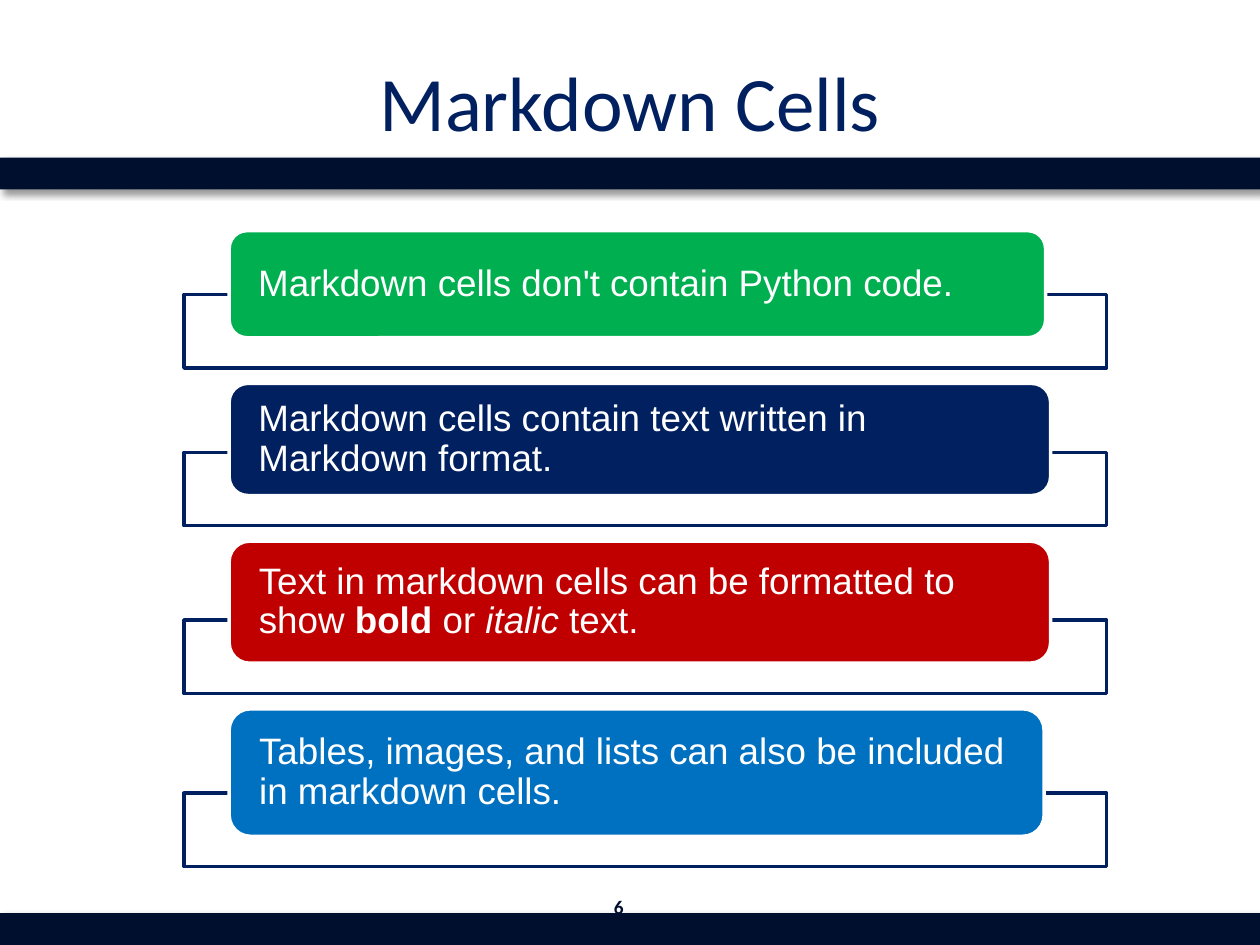
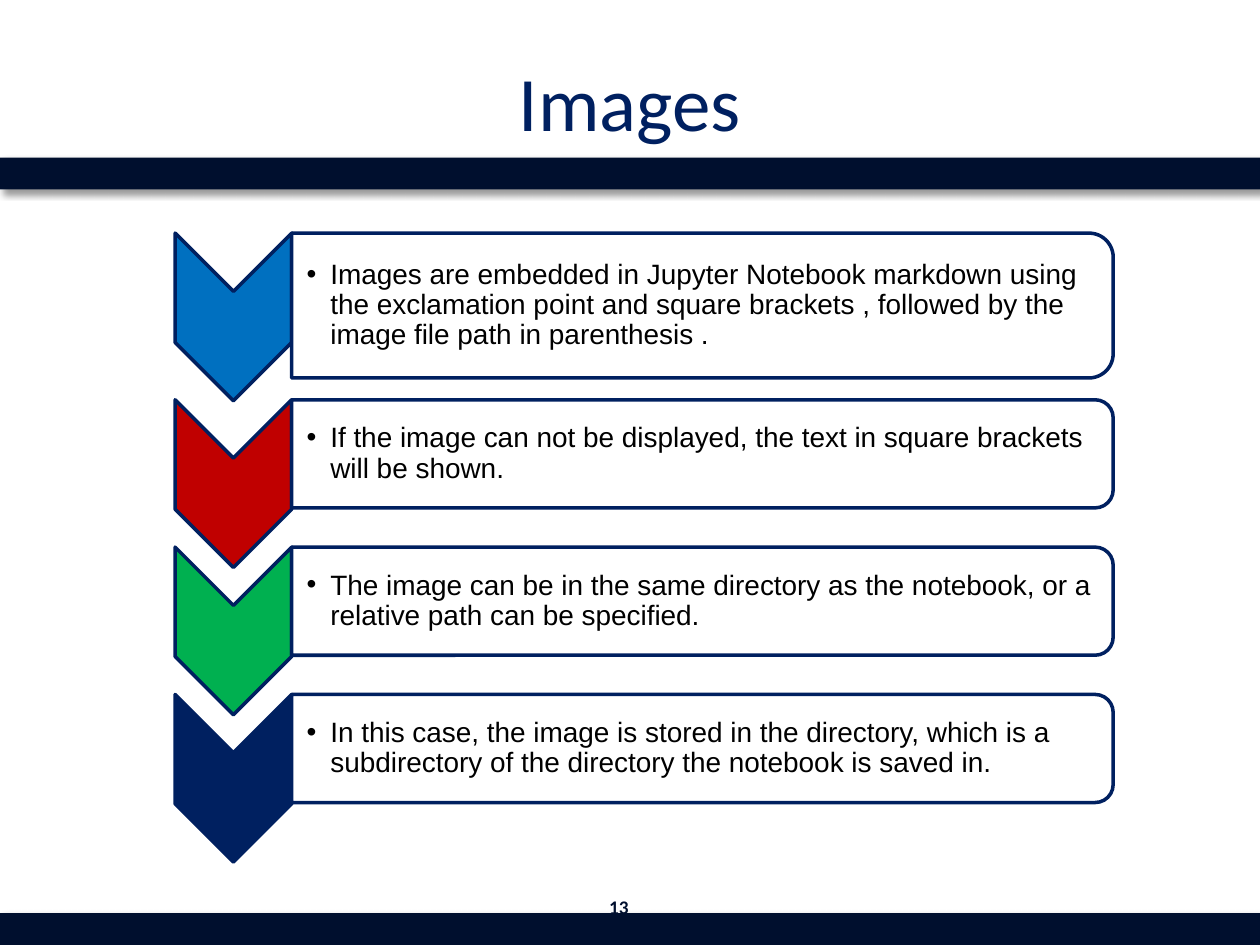
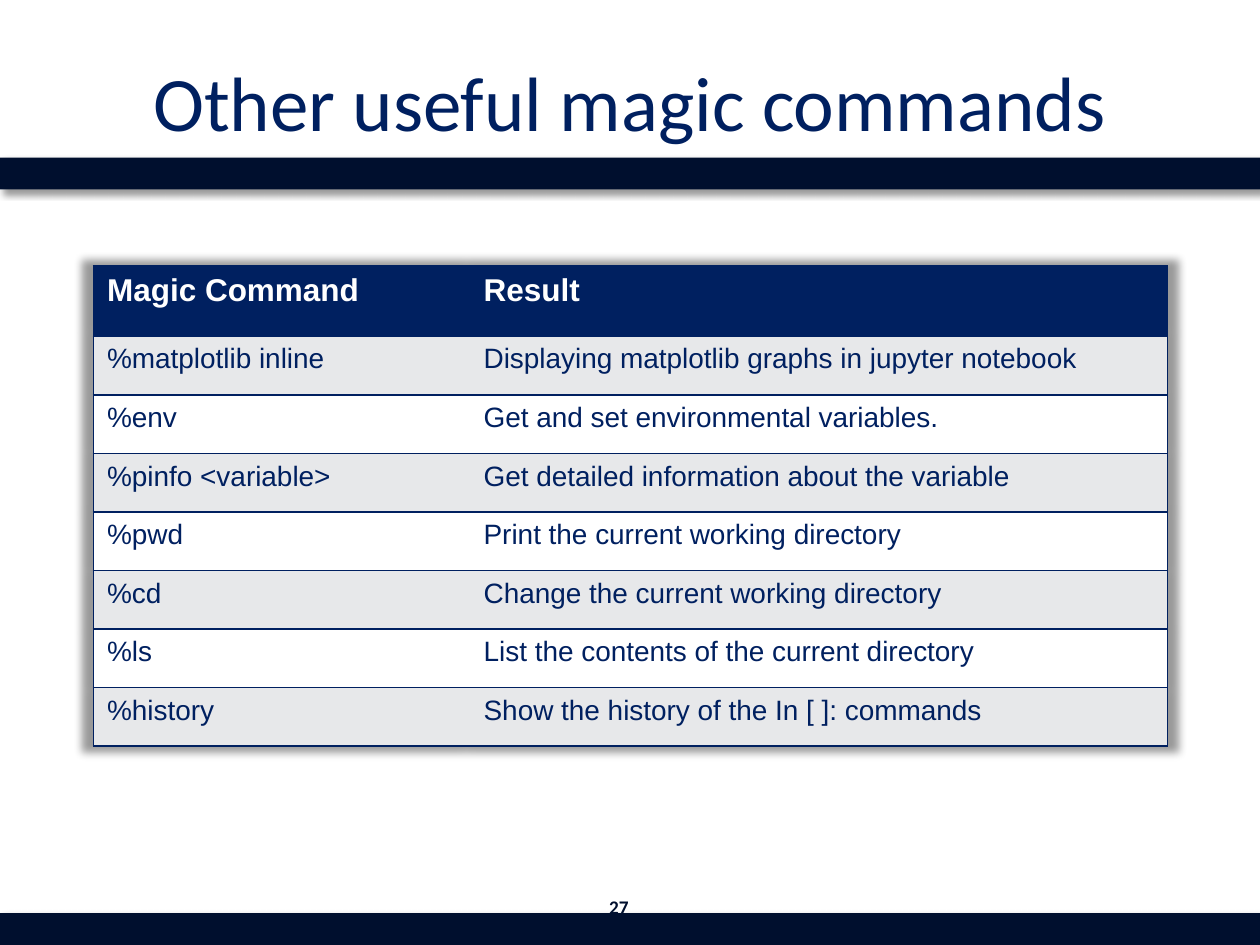
from lxml import etree
from pptx import Presentation
from pptx.dml.color import RGBColor
from pptx.enum import shapes, text
from pptx.oxml import ns
from pptx.util import Cm, Pt

# Shared look
NAVY = RGBColor(0x00, 0x20, 0x60)
DARK = RGBColor(0x00, 0x0F, 0x2E)
GREEN = RGBColor(0x00, 0xB0, 0x50)
RED = RGBColor(0xC0, 0x00, 0x00)
BLUE = RGBColor(0x00, 0x70, 0xC0)
GREY = RGBColor(0xE7, 0xE8, 0xEA)
WHITE = RGBColor(0xFF, 0xFF, 0xFF)
BLACK = RGBColor(0x00, 0x00, 0x00)
WIDE, HIGH, BAND = 25.4, 19.05, 0.64
KIND = shapes.MSO_SHAPE

# Content: cards hold (fill, width, height, runs), a run is (words, style)
CARDS = [
    (GREEN, 16.46, 2.16, [("Markdown cells don't contain Python code.", "")]),
    (NAVY, 16.56, 2.26,
     [("Markdown cells contain text written in Markdown format.", "")]),
    (RED, 16.56, 2.46,
     [("Text in markdown cells can be formatted to show ", ""),
      ("bold", "b"), (" or ", ""), ("italic", "i"), (" text.", "")]),
    (BLUE, 16.43, 2.57,
     [("Tables, images, and lists can also be included in markdown cells.",
       "")]),
]

# Steps hold (chevron fill, panel height, words)
STEPS = [
    (BLUE, 2.92, "Images are embedded in Jupyter Notebook markdown using the "
     "exclamation point and square brackets , followed by the image file "
     "path in parenthesis ."),
    (RED, 2.18, "If the image can not be displayed, the text in square "
     "brackets will be shown."),
    (GREEN, 2.18, "The image can be in the same directory as the notebook, "
     "or a relative path can be specified."),
    (NAVY, 2.18, "In this case, the image is stored in the directory, which "
     "is a subdirectory of the directory the notebook is saved in."),
]

MAGIC = [
    ("Magic Command", "Result"),
    ("%matplotlib inline", "Displaying matplotlib graphs in jupyter notebook"),
    ("%env", "Get and set environmental variables."),
    ("%pinfo <variable>", "Get detailed information about the variable"),
    ("%pwd", "Print the current working directory"),
    ("%cd", "Change the current working directory"),
    ("%ls", "List the contents of the current directory"),
    ("%history", "Show the history of the In [ ]: commands"),
]


def sub(node, tag, **attrs):
    return etree.SubElement(node, ns.qn(tag),
                            {key: str(val) for key, val in attrs.items()})


def shade(node, **attrs):
    """Add a soft black outer shadow to a properties element."""
    list_ = sub(node, "a:effectLst")
    cast = sub(list_, "a:outerShdw", rotWithShape=0, **attrs)
    sub(sub(cast, "a:srgbClr", val=BLACK), "a:alpha", val=40000)
    return list_


def style(par, size, color, name="Arial", bold=None):
    font = par.font
    font.size, font.name, font.bold = Pt(size), name, bold
    font.color.rgb = color


def inset(frame, left, top, right, bottom):
    frame.margin_left, frame.margin_top = Cm(left), Cm(top)
    frame.margin_right, frame.margin_bottom = Cm(right), Cm(bottom)
    frame.vertical_anchor = text.MSO_ANCHOR.MIDDLE
    frame.word_wrap = True


def draw(slide, kind, left, top, wide, high, fill, line=None, turn=0):
    """Draw a shape; the box given is the one seen after a quarter turn."""
    if turn:
        left, top = left + (wide - high) / 2, top + (high - wide) / 2
        wide, high = high, wide
    shape = slide.shapes.add_shape(kind, Cm(left), Cm(top), Cm(wide), Cm(high))
    shape.rotation = turn
    shape.shadow.inherit = False
    shape.fill.solid()
    shape.fill.fore_color.rgb = fill
    if line is None:
        shape.line.fill.background()
    else:
        shape.line.color.rgb = line
        shape.line.width = Pt(2)
    return shape


def start(deck, title, page):
    """Add a slide with its bands, title and page number."""
    slide = deck.slides.add_slide(deck.slide_layouts[5])
    for top in (HIGH - BAND, 3.18):
        band = draw(slide, KIND.RECTANGLE, 0, top, WIDE, BAND, DARK)
        props = band.fill._xPr
        props.remove(props.find(ns.qn("a:effectLst")))
        shade(props, blurRad=Pt(4), dist=Pt(3), dir=45 * 60000)

    head = slide.shapes.title
    head.left, head.top, head.width, head.height = (
        Cm(1.27), Cm(0.43), Cm(22.86), Cm(3.18))
    note = slide.shapes.add_textbox(Cm(11.94), Cm(17.78), Cm(1.07), Cm(1.02))
    for box, words, size, color, bold in (
            (head, title, 44, NAVY, None), (note, str(page), 11, DARK, True)):
        inset(box.text_frame, 0.25, 0.13, 0.25, 0.13)
        par = box.text_frame.paragraphs[0]
        par.text, par.alignment = words, text.PP_ALIGN.CENTER
        style(par, size, color, "Calibri", bold)
    return slide


def cards(slide):
    top, tall = 4.65, 1.48
    for fill, wide, high, runs in CARDS:
        # Each frame starts behind its card and ends below it
        base = top + high - 0.87
        draw(slide, KIND.RECTANGLE, 3.71, base, 18.6, tall, WHITE, NAVY)
        card = draw(slide, KIND.ROUNDED_RECTANGLE, 4.62, top, wide, high,
                    fill, WHITE)
        inset(card.text_frame, 0.48, 0, 0.48, 0)
        par = card.text_frame.paragraphs[0]
        par.alignment, par.line_spacing = text.PP_ALIGN.LEFT, 0.9
        style(par, 21, WHITE)
        for words, look in runs:
            run = par.add_run()
            run.text = words
            if look == "b":
                run.font.bold = True
            elif look == "i":
                run.font.italic = True
        top = base + tall + 0.31


def steps(slide):
    top, left, edge = 4.7, 3.53, 5.88
    for fill, high, words in STEPS:
        draw(slide, KIND.CHEVRON, left, top, edge - left, 3.38, fill, NAVY, 90)
        draw(slide, KIND.ROUND_2_SAME_RECTANGLE, edge, top, 16.56, high,
             WHITE, NAVY, 90)
        box = slide.shapes.add_textbox(Cm(edge), Cm(top), Cm(16.42), Cm(high))
        inset(box.text_frame, 0.3, 0.03, 0.03, 0.03)
        par = box.text_frame.paragraphs[0]
        par.text, par.line_spacing = words, 0.9
        props = par._p.get_or_add_pPr()
        props.set("marL", str(Cm(0.48)))
        props.set("indent", str(-Cm(0.48)))
        sub(props, "a:buFont", typeface="Arial")
        sub(props, "a:buChar", char="•")
        style(par, 16, BLACK)
        top += max(high + 0.44, 2.97)


def rule(cell, first, last):
    """Line a cell above, below and on the table's outer sides."""
    props = cell._tc.get_or_add_tcPr()
    for tag, shown in (("a:lnL", first), ("a:lnR", last),
                       ("a:lnT", True), ("a:lnB", True)):
        line = sub(props, tag, w=Pt(1))
        if shown:
            sub(sub(line, "a:solidFill"), "a:srgbClr", val=NAVY)
        else:
            sub(line, "a:noFill")


def table(slide):
    cols, tops, rest = (7.59, 14.07), 1.42, 1.18
    grid = slide.shapes.add_table(
        len(MAGIC), len(cols), Cm(1.88), Cm(5.36), Cm(sum(cols)),
        Cm(tops + rest * (len(MAGIC) - 1))).table
    props = grid._tbl.tblPr
    props.insert(0, shade(props, blurRad=Pt(5), sx=102000, sy=102000,
                          algn="ctr"))
    for col, wide in zip(grid.columns, cols):
        col.width = Cm(wide)
    for at, row in enumerate(MAGIC):
        grid.rows[at].height = Cm(rest if at else tops)
        for pos, words in enumerate(row):
            cell = grid.cell(at, pos)
            cell.margin_left = cell.margin_right = Cm(0.28)
            cell.margin_top = cell.margin_bottom = Cm(0.15)
            rule(cell, pos == 0, pos == len(cols) - 1)
            cell.fill.solid()
            cell.fill.fore_color.rgb = (
                NAVY if at == 0 else GREY if at % 2 else WHITE)
            par = cell.text_frame.paragraphs[0]
            par.text = words
            style(par, 16 if at else 18, NAVY if at else WHITE, bold=at == 0)


def main():
    deck = Presentation()
    deck.slide_width, deck.slide_height = Cm(WIDE), Cm(HIGH)
    for title, page, fill in (("Markdown Cells", 6, cards),
                              ("Images", 13, steps),
                              ("Other useful magic commands", 27, table)):
        fill(start(deck, title, page))
    deck.save("out.pptx")


if __name__ == "__main__":
    main()
